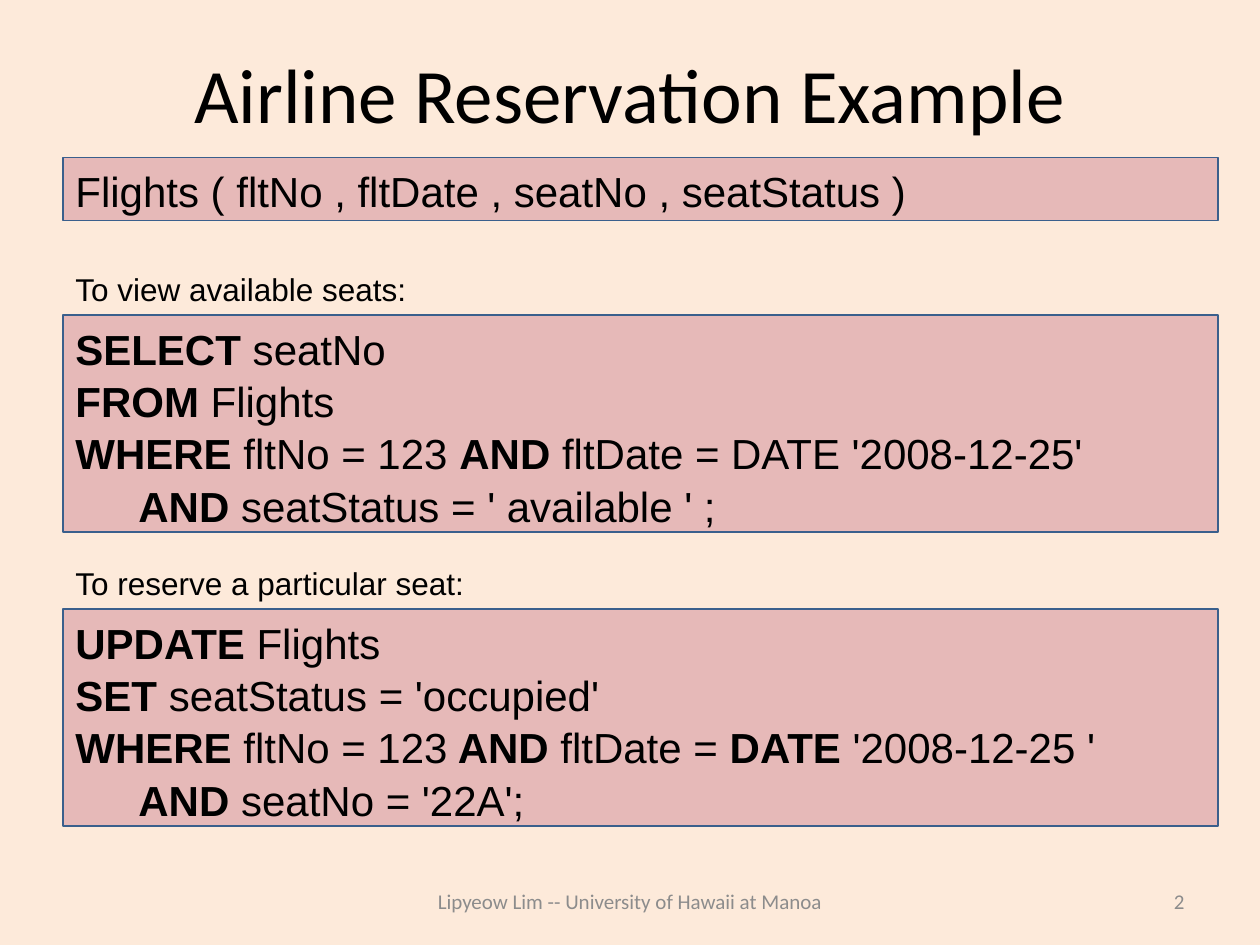
from pptx import Presentation
from pptx.dml.color import RGBColor
from pptx.enum.shapes import MSO_SHAPE
from pptx.enum.text import MSO_ANCHOR as ANCHOR, PP_ALIGN as ALIGN
from pptx.util import Pt

CREAM = RGBColor(0xFD, 0xEA, 0xDA)
PINK = RGBColor(0xE6, 0xB9, 0xB8)
NAVY = RGBColor(0x3A, 0x5F, 0x8C)
BLACK = RGBColor(0, 0, 0)
GRAY = RGBColor(0x8C, 0x8C, 0x8C)

LEFT = 36
BOX_WIDTH = 660
LINE_SPACING = 1.04

SCHEMA = ["Flights ( fltNo , fltDate , seatNo , seatStatus )"]
# Asterisks enclose bold keywords
VIEW_QUERY = [
    "*SELECT *seatNo",
    "*FROM* Flights",
    "*WHERE *fltNo = 123 *AND *fltDate = DATE '2008-12-25'",
    "*\tAND *seatStatus = ' available ' ;",
]
RESERVE_QUERY = [
    "*UPDATE *Flights",
    "*SET *seatStatus = 'occupied'",
    "*WHERE *fltNo = 123* AND *fltDate =* DATE *'2008-12-25 '",
    "*\tAND *seatNo = '22A';",
]


class SlideBuilder:
    title_font = {"name": "Calibri", "size": Pt(44)}
    footer_font = {"name": "Calibri", "size": Pt(12)}
    label_font = {"name": "Arial", "size": Pt(18)}
    code_font = {"name": "Arial", "size": Pt(24)}

    def __init__(self, prs):
        self.s = prs.slides.add_slide(prs.slide_layouts[6])
        fill = self.s.background.fill
        fill.solid()
        fill.fore_color.rgb = CREAM

    def set_lines(self, sp, lines, font, color=BLACK, align=ALIGN.LEFT,
                  anchor=ANCHOR.TOP, spacing=None):
        """Fill a shape with lines whose odd asterisk-separated parts are bold."""
        tf = sp.text_frame
        tf.word_wrap = True
        tf.vertical_anchor = anchor
        for i, line in enumerate(lines):
            p = tf.add_paragraph() if i else tf.paragraphs[0]
            p.alignment = align
            p.line_spacing = spacing
            for j, part in enumerate(line.split("*")):
                if not part:
                    continue
                r = p.add_run()
                r.text = part
                for key, value in font.items():
                    setattr(r.font, key, value)
                r.font.bold = j % 2 == 1
                r.font.color.rgb = color

    def text(self, text, left, top, width, height, font, **style):
        sp = self.s.shapes.add_textbox(Pt(left), Pt(top), Pt(width), Pt(height))
        self.set_lines(sp, [text], font, **style)

    def label(self, text, top, width):
        self.text(text, LEFT, top, width, 28.8, self.label_font,
                  spacing=LINE_SPACING)

    def footer(self, text, left, width, align):
        self.text(text, left, 500.5, width, 28.8, self.footer_font, color=GRAY,
                  align=align, anchor=ANCHOR.MIDDLE)

    def code_box(self, lines, top, height):
        sp = self.s.shapes.add_shape(MSO_SHAPE.RECTANGLE, Pt(LEFT), Pt(top),
                                     Pt(BOX_WIDTH), Pt(height))
        sp.shadow.inherit = False
        sp.fill.solid()
        sp.fill.fore_color.rgb = PINK
        sp.line.color.rgb = NAVY
        sp.line.width = Pt(0.75)
        self.set_lines(sp, lines, self.code_font, spacing=LINE_SPACING)


def main():
    prs = Presentation()
    prs.slide_width, prs.slide_height = Pt(720), Pt(540)
    slide = SlideBuilder(prs)
    slide.text("Airline Reservation Example", LEFT, 21.6, 648, 62.6,
               slide.title_font, align=ALIGN.CENTER, anchor=ANCHOR.MIDDLE)
    slide.footer("Lipyeow Lim -- University of Hawaii at Manoa", 216, 288,
                 ALIGN.CENTER)
    slide.footer("2", 516, 168, ALIGN.RIGHT)
    slide.code_box(SCHEMA, 90, 36)
    slide.label("To view available seats:", 150, 210)
    slide.code_box(VIEW_QUERY, 180, 124)
    slide.label("To reserve a particular seat:", 318, 248)
    slide.code_box(RESERVE_QUERY, 348, 124)
    prs.save("out.pptx")


if __name__ == "__main__":
    main()
